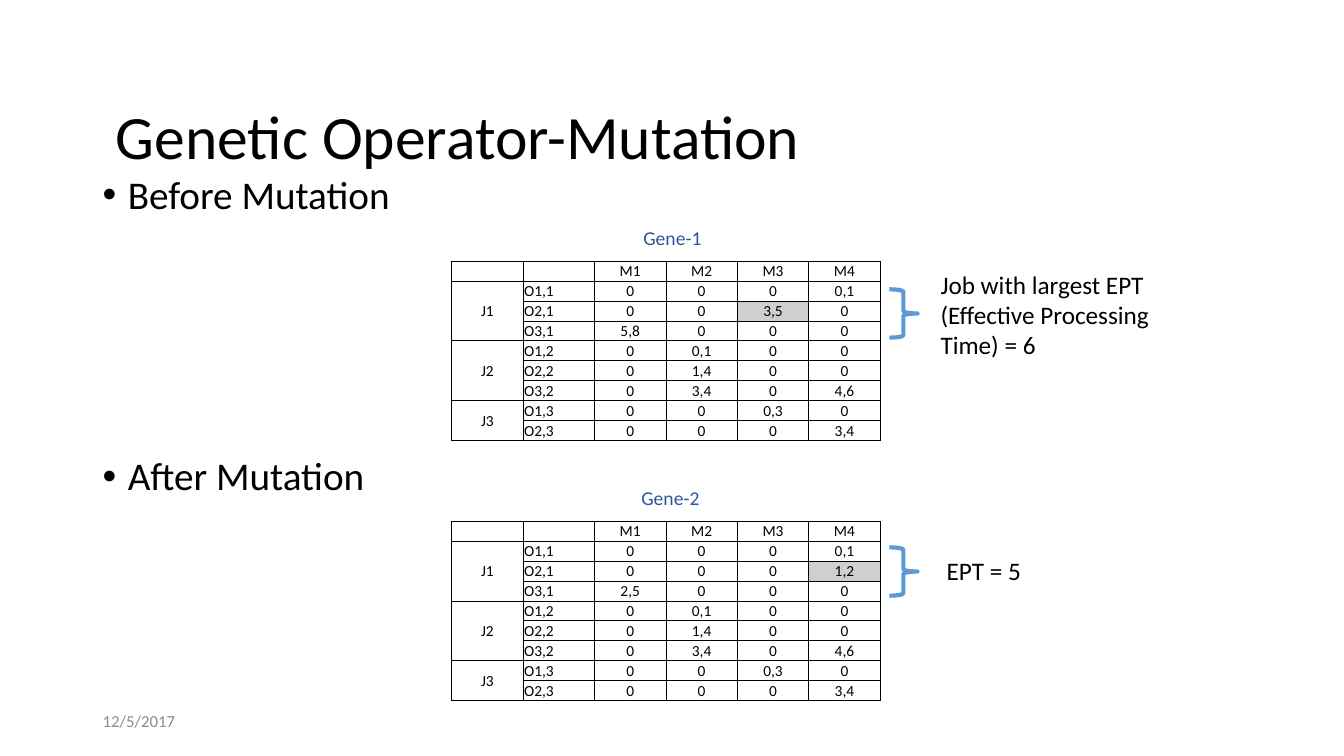
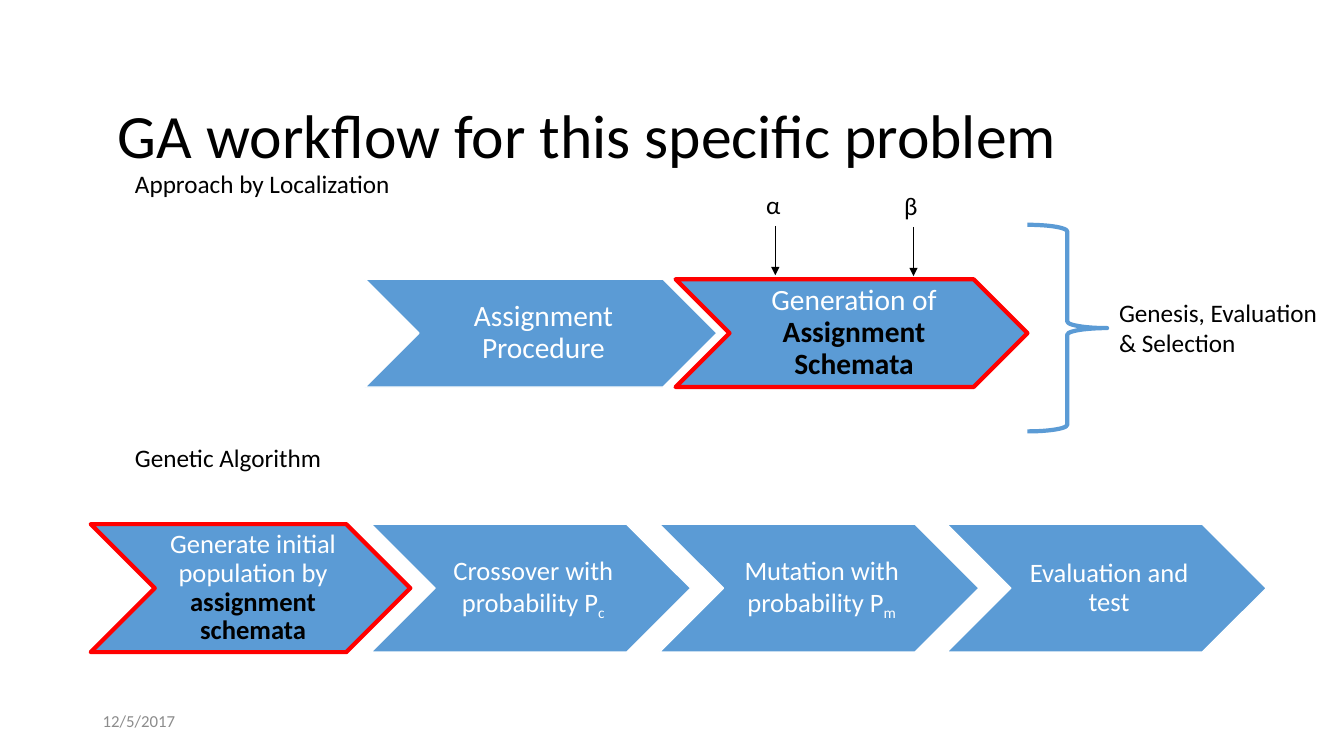
from lxml.etree import SubElement
from pptx import Presentation
from pptx.dml.color import RGBColor
from pptx.enum.shapes import MSO_CONNECTOR, MSO_SHAPE
from pptx.enum.text import MSO_ANCHOR, PP_ALIGN
from pptx.oxml.ns import qn
from pptx.util import Emu, Pt

BLACK = RGBColor(0x00, 0x00, 0x00)
WHITE = RGBColor(0xFF, 0xFF, 0xFF)
RED = RGBColor(0xFF, 0x00, 0x00)
BLUE = RGBColor(0x5B, 0x9B, 0xD5)
NAVY = RGBColor(0x2F, 0x55, 0x97)
GRAY = RGBColor(0x8C, 0x8C, 0x8C)
HIGHLIGHT = RGBColor(0xD0, 0xCE, 0xCE)

FONT = "Calibri"
DATE = "12/5/2017"
EMU_PER_PX = 9144  # 100 px to the inch


def px(*lengths):
    return [Emu(length * EMU_PER_PX) for length in lengths]


def write_text(frame, paragraphs, size=18, color=BLACK, align=PP_ALIGN.LEFT,
               anchor=MSO_ANCHOR.TOP, spacing=None, gap=0, bullet=None, margins=None):
    """Write paragraphs, each a string or a list of (text, overrides) runs."""
    frame.word_wrap = True
    frame.vertical_anchor = anchor
    if margins:
        (frame.margin_left, frame.margin_top,
         frame.margin_right, frame.margin_bottom) = px(*margins)
    for index, content in enumerate(paragraphs):
        paragraph = frame.add_paragraph() if index else frame.paragraphs[0]
        paragraph.alignment = align
        if spacing:
            paragraph.line_spacing = spacing
        if index and gap:
            paragraph.space_before = Pt(gap)
        if bullet:
            properties = paragraph._p.get_or_add_pPr()
            properties.set("marL", str(px(25)[0]))
            properties.set("indent", str(px(-25)[0]))
            SubElement(properties, qn("a:buFont")).set("typeface", "Arial")
            SubElement(properties, qn("a:buChar")).set("char", bullet)
        for text, overrides in [(content, {})] if isinstance(content, str) else content:
            run = paragraph.add_run()
            run.text = text
            run.font.name = FONT
            run.font.size = Pt(size)
            run.font.bold = overrides.get("bold", False)
            run.font.color.rgb = overrides.get("color", color)
            if overrides.get("subscript"):
                run._r.get_or_add_rPr().set("baseline", "-25000")


class Deck:
    """Holds the shared style and the slide being built."""

    def __init__(self):
        self.presentation = Presentation()
        self.presentation.slide_width, self.presentation.slide_height = px(1333, 750)
        self.slide = None

    def new_slide(self, title, box):
        self.slide = self.presentation.slides.add_slide(self.presentation.slide_layouts[6])
        self.text(box, title, size=44, spacing=0.9, anchor=MSO_ANCHOR.MIDDLE)
        self.text((92, 695, 300, 40), DATE, size=12, color=GRAY, anchor=MSO_ANCHOR.MIDDLE)

    def text(self, box, *paragraphs, **style):
        shape = self.slide.shapes.add_textbox(*px(*box))
        write_text(shape.text_frame, paragraphs, **style)

    def shape(self, kind, box, fill, line, width):
        shape = self.slide.shapes.add_shape(kind, *px(*box))
        shape.shadow.inherit = False
        if fill is None:
            shape.fill.background()
        else:
            shape.fill.solid()
            shape.fill.fore_color.rgb = fill
        shape.line.color.rgb = line
        shape.line.width = Pt(width)
        return shape

    def brace(self, box):
        self.shape(MSO_SHAPE.RIGHT_BRACE, box, None, BLUE, 3)

    def chevron(self, box, content, size, marked=False):
        line, width = (RED, 3) if marked else (WHITE, 1)
        shape = self.shape(MSO_SHAPE.CHEVRON, box, BLUE, line, width)
        write_text(shape.text_frame, [content], size=size, color=WHITE, spacing=0.9,
                   align=PP_ALIGN.CENTER, anchor=MSO_ANCHOR.MIDDLE, margins=(8, 3, 3, 3))

    def arrow(self, x, top, bottom):
        connector = self.slide.shapes.add_connector(
            MSO_CONNECTOR.STRAIGHT, *px(x, top, x, bottom))
        connector.line.color.rgb = BLACK
        connector.line.width = Pt(0.5)
        SubElement(connector.line._get_or_add_ln(), qn("a:tailEnd")).set("type", "triangle")
        SubElement(connector._element.spPr, qn("a:effectLst"))

    def cell(self, cell, text, align, anchor, fill):
        write_text(cell.text_frame, [text] if text else [], size=11, align=align)
        cell.vertical_anchor = anchor
        cell.margin_left, cell.margin_top, cell.margin_right, cell.margin_bottom = px(1, 1, 1, 0)
        if not text:
            # Keeps an empty cell from growing to the default text size
            end = SubElement(cell.text_frame.paragraphs[0]._p, qn("a:endParaRPr"))
            end.set("sz", "1100")
        properties = cell._tc.get_or_add_tcPr()
        for side in ("a:lnL", "a:lnR", "a:lnT", "a:lnB"):
            border = SubElement(properties, qn(side), w=str(Pt(0.5)))
            solid = SubElement(border, qn("a:solidFill"))
            SubElement(solid, qn("a:srgbClr")).set("val", str(BLACK))
        cell.fill.solid()
        cell.fill.fore_color.rgb = fill

    def gene_table(self, box, rows, highlighted):
        frame = self.slide.shapes.add_table(len(rows), len(rows[0]), *px(*box))
        table = frame.table
        table.first_row = table.horz_banding = False
        for r, row in enumerate(rows):
            for c, text in enumerate(row):
                self.cell(table.cell(r, c), text,
                          align=PP_ALIGN.LEFT if c == 1 else PP_ALIGN.CENTER,
                          anchor=MSO_ANCHOR.BOTTOM if c else MSO_ANCHOR.MIDDLE,
                          fill=HIGHLIGHT if (r, c) == highlighted else WHITE)
        # Each job label spans its operations
        starts = [r for r, row in enumerate(rows) if row[0]] + [len(rows)]
        for first, following in zip(starts, starts[1:]):
            table.cell(first, 0).merge(table.cell(following - 1, 0))


def gene_rows(changes):
    """Rows of a gene: the shared assignments plus those that mutation changes."""
    assigned = {"O1,1": {"M4": "0,1"}, "O1,2": {"M2": "0,1"}, "O2,2": {"M2": "1,4"},
                "O3,2": {"M2": "3,4", "M4": "4,6"}, "O1,3": {"M3": "0,3"},
                "O2,3": {"M4": "3,4"}, **changes}
    machines = ["M1", "M2", "M3", "M4"]
    rows = [["", "", *machines]]
    for job, operations in enumerate((3, 3, 2), start=1):
        for number in range(1, operations + 1):
            operation = f"O{number},{job}"
            values = [assigned[operation].get(machine, "0") for machine in machines]
            rows.append([f"J{job}" if number == 1 else "", operation, *values])
    return rows


def build_mutation(deck):
    deck.new_slide("Genetic Operator-Mutation", (105, 77, 1150, 122))
    deck.text((92, 169, 1150, 506), "Before Mutation", "After Mutation",
              size=28, spacing=0.9, gap=171, bullet="•")

    # Gene tables with their captions and braces
    genes = [
        ("Gene-1", (450, 219), 259, 287, {"O2,1": {"M3": "3,5"}, "O3,1": {"M1": "5,8"}}, (2, 4)),
        ("Gene-2", (448, 477), 517, 543, {"O2,1": {"M4": "1,2"}, "O3,1": {"M1": "2,5"}}, (2, 5)),
    ]
    for name, caption, top, brace_top, changes, highlighted in genes:
        deck.text((*caption, 434, 34), name, size=14, color=NAVY, align=PP_ALIGN.CENTER)
        deck.gene_table((448, top, 425, 178), gene_rows(changes), highlighted)
        deck.brace((882, brace_top, 28, 48))

    # Processing times
    deck.text((923, 262, 239, 101), "Job with largest EPT (Effective Processing Time) = 6")
    deck.text((929, 546, 239, 40), "EPT = 5")


def build_workflow(deck):
    deck.new_slide("GA workflow for this specific problem", (107, 91, 1150, 93))
    strong = {"bold": True, "color": BLACK}
    subscript = {"subscript": True}

    # Localization steps
    deck.text((124, 162, 309, 40), "Approach by Localization")
    deck.chevron((362, 277, 349, 107), "Assignment Procedure", 21)
    deck.chevron((670, 277, 349, 107),
                 [("Generation of ", {}), ("Assignment Schemata", strong)], 21, marked=True)
    for symbol, x, top in (("α", 769, 183), ("β", 906, 184)):
        deck.text((x - 19, top, 37, 40), symbol)
        deck.arrow(x, top + 41, top + 90)
    deck.brace((1019, 223, 79, 205))
    deck.text((1100, 290, 221, 71), "Genesis, Evaluation & Selection")

    # Genetic algorithm steps
    deck.text((124, 434, 309, 40), "Genetic Algorithm")
    steps = [
        (90, [("Generate initial population by ", {}), ("assignment schemata", strong)]),
        (368, [("Crossover with probability P", {}), ("c", subscript)]),
        (654, [("Mutation with probability P", {}), ("m", subscript)]),
        (939, "Evaluation and test"),
    ]
    for index, (left, content) in enumerate(steps):
        deck.chevron((left, 520, 317, 127), content, 19, marked=index == 0)


def main():
    deck = Deck()
    build_mutation(deck)
    build_workflow(deck)
    deck.presentation.save("out.pptx")


if __name__ == "__main__":
    main()
